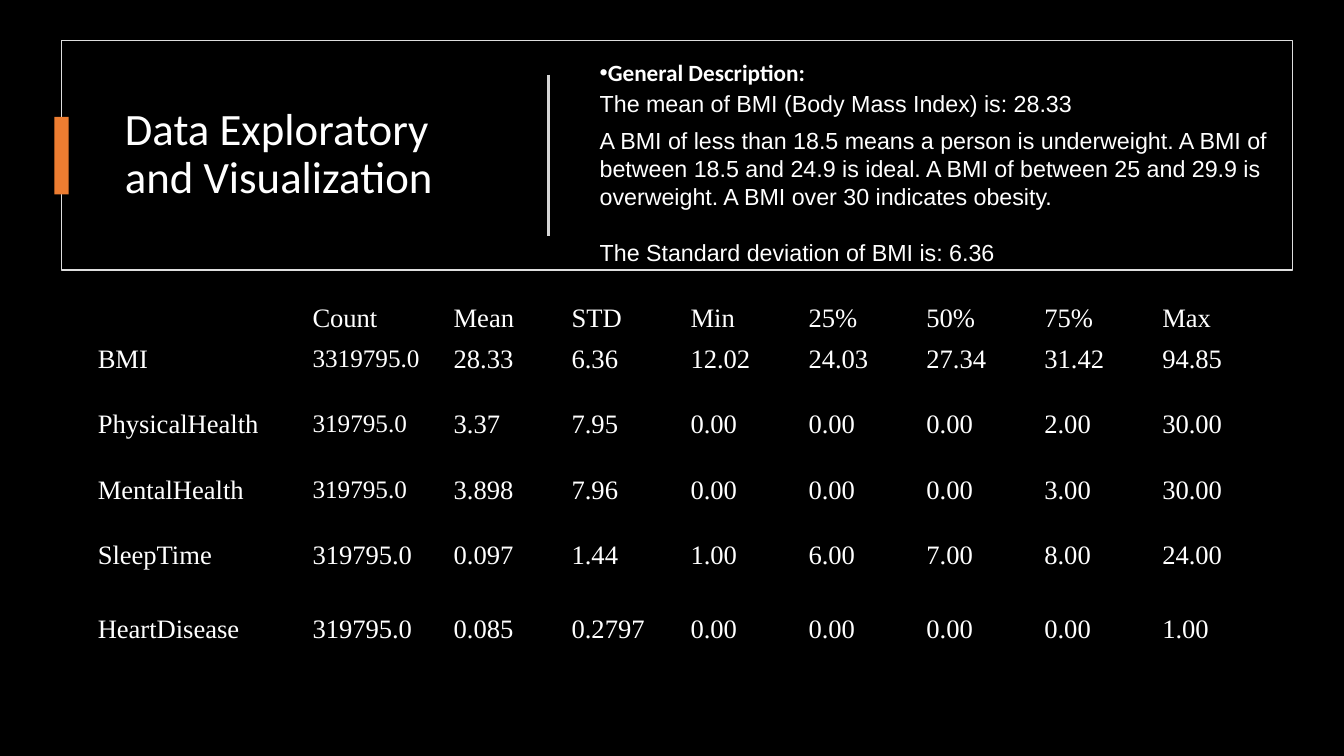
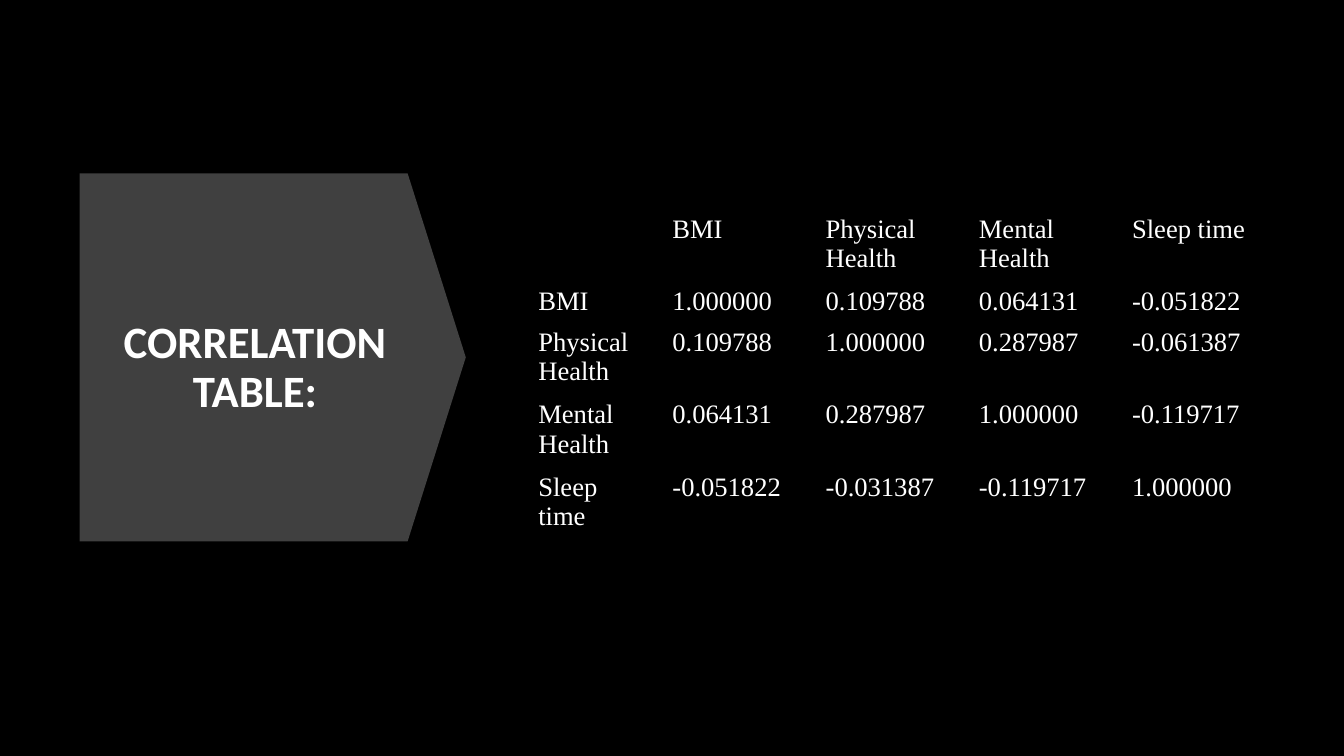
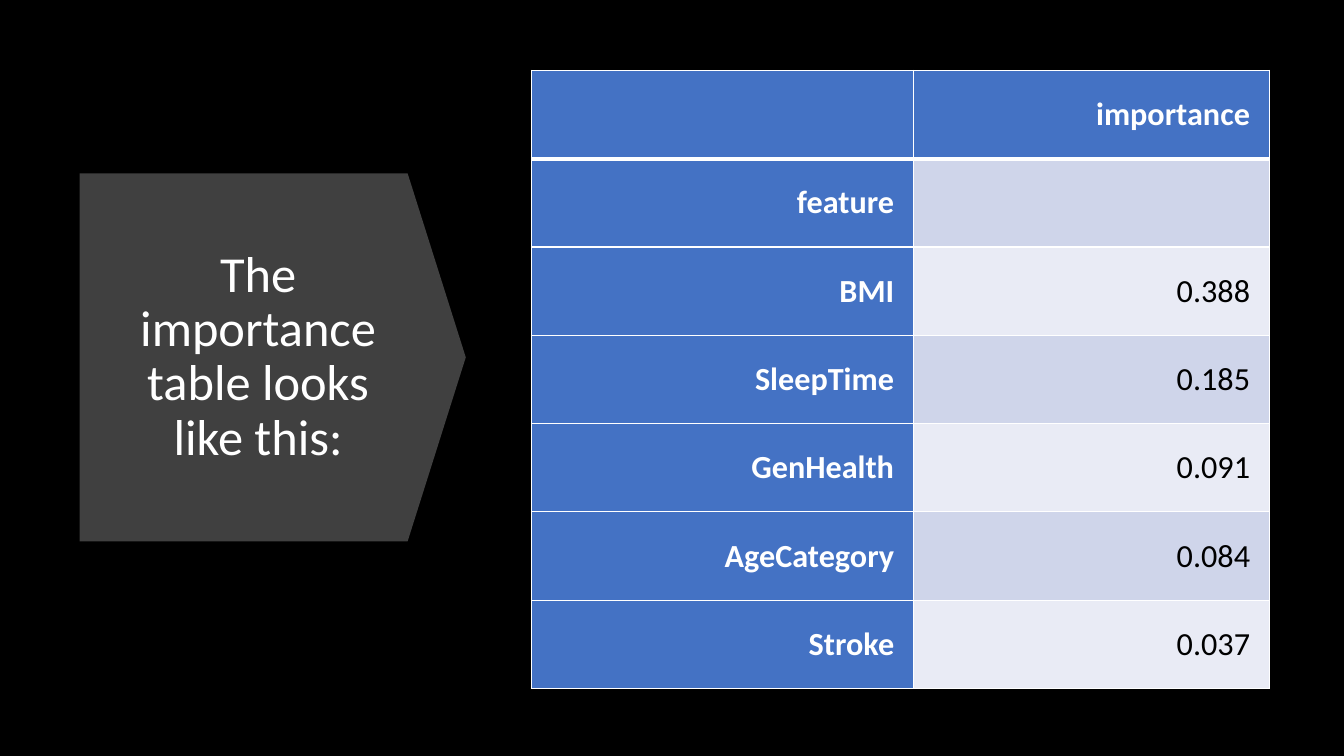
"""Build three slides on health data: summary statistics, correlations and feature importance."""
from lxml import etree
from pptx import Presentation
from pptx.dml import color
from pptx.enum import shapes, text
from pptx.oxml import ns
from pptx.util import Inches, Pt

BLACK, WHITE, GREY, ORANGE = "000000", "FFFFFF", "404040", "ED7D31"
FRAME, DIVIDER = "DEDEDE", "D5D5D5"
BLUE, BAND_DARK, BAND_LIGHT = "4472C4", "CFD5EA", "E9EBF5"
LEFT, CENTER, RIGHT = text.PP_ALIGN.LEFT, text.PP_ALIGN.CENTER, text.PP_ALIGN.RIGHT
TOP, MIDDLE = text.MSO_ANCHOR.TOP, text.MSO_ANCHOR.MIDDLE

DESCRIPTION = [
    ("General Description:", dict(font="Calibri", bold=True, bullet="•", after=2)),
    ("The mean of BMI (Body Mass Index) is: 28.33", dict(after=6)),
    ("A BMI of less than 18.5 means a person is underweight. A BMI of between 18.5 and 24.9 "
     "is ideal. A BMI of between 25 and 29.9 is overweight. A BMI over 30 indicates obesity.",
     dict(after=20)),
    ("The Standard deviation of BMI is: 6.36", {}),
]
STATISTICS = [
    ("", "Count", "Mean", "STD", "Min", "25%", "50%", "75%", "Max"),
    ("BMI", "3319795.0", "28.33", "6.36", "12.02", "24.03", "27.34", "31.42", "94.85"),
    ("PhysicalHealth", "319795.0", "3.37", "7.95", "0.00", "0.00", "0.00", "2.00", "30.00"),
    ("MentalHealth", "319795.0", "3.898", "7.96", "0.00", "0.00", "0.00", "3.00", "30.00"),
    ("SleepTime", "319795.0", "0.097", "1.44", "1.00", "6.00", "7.00", "8.00", "24.00"),
    ("HeartDisease", "319795.0", "0.085", "0.2797", "0.00", "0.00", "0.00", "0.00", "1.00"),
]
SMALL_COUNTS = {(1, 1), (2, 1), (3, 1)}
CORRELATIONS = [
    ("", "BMI", "Physical Health", "Mental Health", "Sleep time"),
    ("BMI", "1.000000", "0.109788", "0.064131", "-0.051822"),
    ("Physical Health", "0.109788", "1.000000", "0.287987", "-0.061387"),
    ("Mental Health", "0.064131", "0.287987", "1.000000", "-0.119717"),
    ("Sleep time", "-0.051822", "-0.031387", "-0.119717", "1.000000"),
]
IMPORTANCE = [
    ("", "importance"),
    ("feature", ""),
    ("BMI", "0.388"),
    ("SleepTime", "0.185"),
    ("GenHealth", "0.091"),
    ("AgeCategory", "0.084"),
    ("Stroke", "0.037"),
]


def rgb(value):
    return color.RGBColor.from_string(value)


def add_slide(prs):
    s = prs.slides.add_slide(prs.slide_layouts[6])
    s.background.fill.solid()
    s.background.fill.fore_color.rgb = rgb(BLACK)
    return s


def write(p, content, font="Calibri", size=32, fill=WHITE, bold=False, align=LEFT,
          spacing=None, after=0, bullet=None):
    p.alignment, p.space_after = align, Pt(after)
    if spacing:
        p.line_spacing = spacing
    if bullet:
        pPr = p._p.get_or_add_pPr()
        pPr.set("marL", "0")
        pPr.set("indent", "0")
        etree.SubElement(pPr, ns.qn("a:buFont"), typeface="Arial")
        etree.SubElement(pPr, ns.qn("a:buChar"), char=bullet)
    r = p.add_run()
    r.text = content
    r.font.name, r.font.size, r.font.bold = font, Pt(size), bold
    r.font.color.rgb = rgb(fill)


def add_text(s, box, paragraphs, anchor=MIDDLE, **shared):
    tf = s.shapes.add_textbox(*map(Inches, box)).text_frame
    tf.word_wrap, tf.vertical_anchor = True, anchor
    for i, (content, fmt) in enumerate(paragraphs):
        p = tf.add_paragraph() if i else tf.paragraphs[0]
        write(p, content, **{**shared, **fmt})


def add_block(s, kind, box, fill, line=None):
    sp = s.shapes.add_shape(kind, *map(Inches, box))
    sp.shadow.inherit = False
    sp.fill.solid()
    sp.fill.fore_color.rgb = rgb(fill)
    if line:
        sp.line.color.rgb, sp.line.width = rgb(line), Pt(1)
    else:
        sp.line.fill.background()
    return sp


def add_divider(s, x, top, bottom):
    ln = s.shapes.add_connector(shapes.MSO_CONNECTOR.STRAIGHT, *map(Inches, (x, top, x, bottom)))
    ln.line.color.rgb, ln.line.width = rgb(DIVIDER), Pt(1.5)
    etree.SubElement(ln._element.spPr, ns.qn("a:effectLst"))


def add_pentagon_title(s, box, title, **fmt):
    sp = add_block(s, shapes.MSO_SHAPE.PENTAGON, (0.79, 1.72, 3.83, 3.65), GREY)
    sp.adjustments[0] = 0.158
    add_text(s, box, [(title, fmt)], align=CENTER, spacing=0.9)


def set_borders(cell, line, widths):
    tcPr = cell._tc.get_or_add_tcPr()
    for side, width in zip("LRTB", widths):
        ln = etree.SubElement(tcPr, ns.qn(f"a:ln{side}"), w=str(Pt(width)))
        fill = etree.SubElement(ln, ns.qn("a:solidFill"))
        etree.SubElement(fill, ns.qn("a:srgbClr"), val=line)


def add_grid(s, at, cols, heights, rows, style, line, margins, anchor=TOP):
    size = (sum(cols), sum(heights))
    table = s.shapes.add_table(len(rows), len(cols), *map(Inches, at + size)).table
    for col, width in zip(table.columns, cols):
        col.width = Inches(width)
    for row, height in zip(table.rows, heights):
        row.height = Inches(height)
    for i, row in enumerate(rows):
        for j, content in enumerate(row):
            cell = table.cell(i, j)
            fill, widths, fmt = style(i, j)
            set_borders(cell, line, widths)
            cell.fill.solid()
            cell.fill.fore_color.rgb = rgb(fill)
            (cell.margin_left, cell.margin_top,
             cell.margin_right, cell.margin_bottom) = map(Inches, margins)
            cell.vertical_anchor = anchor
            if content:
                write(cell.text_frame.paragraphs[0], content, **fmt)


def add_plain_grid(s, at, cols, heights, rows, small=()):
    def style(i, j):
        size = 18 if (i, j) in small else 19
        return BLACK, (1, 1, 1, 1), dict(font="Times New Roman", size=size)
    add_grid(s, at, cols, heights, rows, style, BLACK, (0.12, 0.02, 0.12, 0))


def importance_style(i, j):
    heading = i == 0 or j == 0
    fill = BLUE if heading else BAND_DARK if i % 2 else BAND_LIGHT
    widths = (1, 1, 3 if i == 1 else 1, 3 if i == 0 else 1)
    return fill, widths, dict(size=23, bold=heading, fill=WHITE if heading else BLACK, align=RIGHT)


def build_statistics(prs):
    s = add_slide(prs)
    rect = shapes.MSO_SHAPE.RECTANGLE
    add_block(s, rect, (0.61, 0.4, 12.21, 2.28), BLACK, FRAME)
    add_block(s, rect, (0.54, 1.16, 0.14, 0.77), ORANGE)
    add_text(s, (1.14, 0.64, 3.89, 1.8), [("Data Exploratory and Visualization", {})], spacing=0.9)
    add_divider(s, 5.44, 0.74, 2.34)
    add_text(s, (5.85, 0.53, 6.87, 2.19), DESCRIPTION, TOP,
             font="Arial", size=16.6, spacing=Pt(20))
    add_plain_grid(s, (0.85, 2.99), [2.13, 1.4, 1.17, 1.18] + [1.17] * 5,
                   [0.41] + [0.65] * 3 + [0.73] * 2, STATISTICS, SMALL_COUNTS)


def build_correlations(prs):
    s = add_slide(prs)
    add_pentagon_title(s, (0.94, 2.26, 3.18, 2.79), "CORRELATION TABLE:", bold=True)
    add_plain_grid(s, (5.22, 2.11), [1.33] + [1.52] * 4,
                   [0.72, 0.4] + [0.72] * 3, CORRELATIONS)


def build_importance(prs):
    s = add_slide(prs)
    add_pentagon_title(s, (1.12, 2.15, 2.88, 2.79), "The importance table looks like this:", size=36)
    count = len(IMPORTANCE)
    add_grid(s, (5.27, 0.7), [3.79, 3.53], [6.13 / count] * count, IMPORTANCE,
             importance_style, WHITE, (0.19,) * 4, MIDDLE)


def main():
    prs = Presentation()
    prs.slide_width, prs.slide_height = Inches(13.33), Inches(7.5)
    for build in (build_statistics, build_correlations, build_importance):
        build(prs)
    prs.save("out.pptx")


if __name__ == "__main__":
    main()
